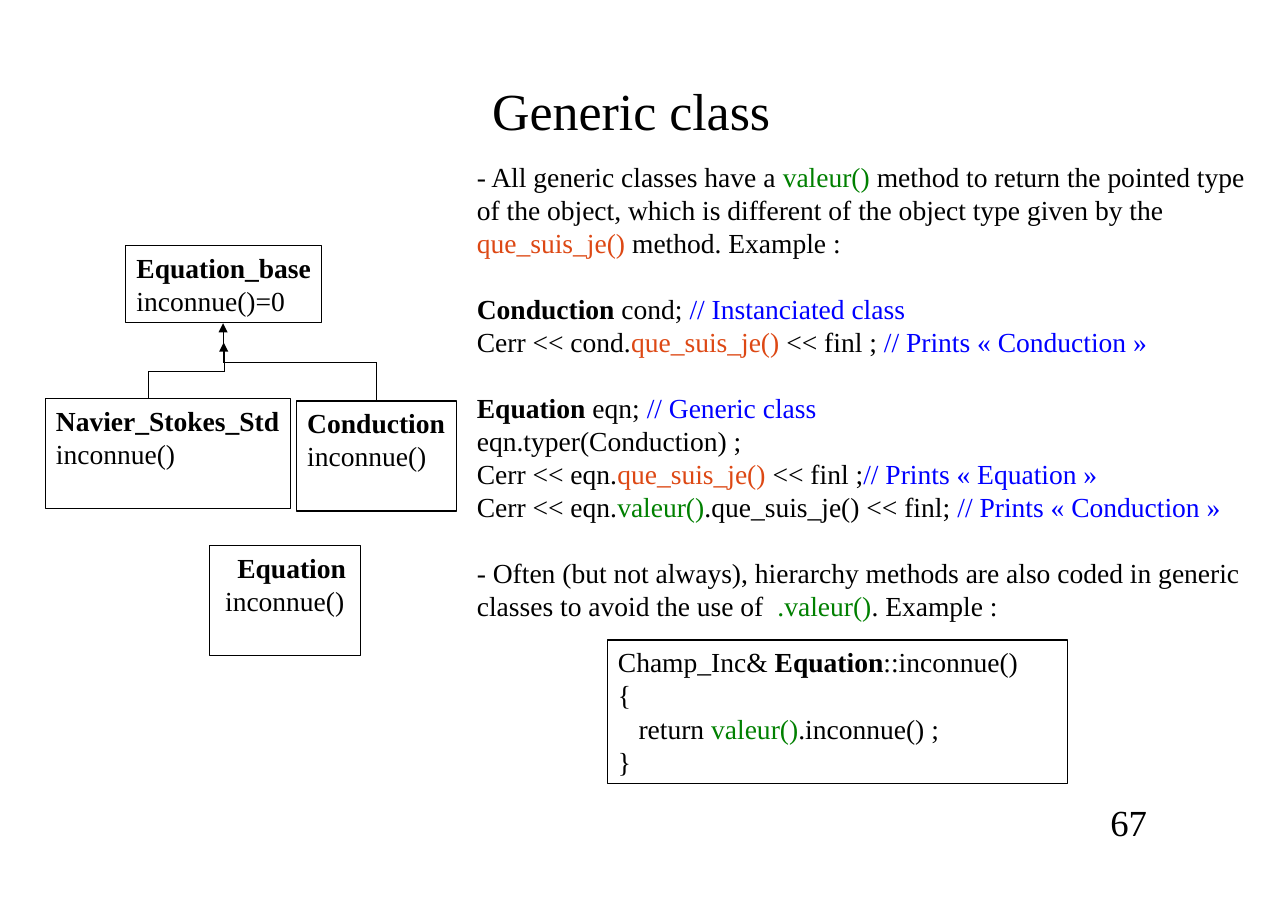
"""Build the slide about generic classes and their valeur() method."""
from lxml import etree
from pptx import Presentation
from pptx.dml.color import RGBColor
from pptx.enum.shapes import MSO_CONNECTOR, MSO_SHAPE
from pptx.enum.text import MSO_ANCHOR, PP_ALIGN
from pptx.oxml.ns import qn
from pptx.util import Inches, Pt

FONT = "Times New Roman"
BLACK, GREEN, ORANGE, BLUE = "000000", "008000", "DD4814", "0000FF"
LEFT, CENTER, RIGHT = PP_ALIGN.LEFT, PP_ALIGN.CENTER, PP_ALIGN.RIGHT
TOP, MIDDLE = MSO_ANCHOR.TOP, MSO_ANCHOR.MIDDLE
RECTANGLE, ELBOW = MSO_SHAPE.RECTANGLE, MSO_CONNECTOR.ELBOW
LINE_PITCH = Pt(21.6)


def color(value):
    return RGBColor.from_string(value)


def write(shape, paragraphs, size=18, align=LEFT, anchor=TOP, wrap=True,
          pitch=LINE_PITCH, gaps=()):
    """Fill a shape with paragraphs of (text, colour, bold) runs."""
    frame = shape.text_frame
    frame.word_wrap = wrap
    frame.vertical_anchor = anchor
    for index, runs in enumerate(paragraphs):
        paragraph = frame.paragraphs[0] if index == 0 else frame.add_paragraph()
        paragraph.alignment = align
        if pitch:
            paragraph.line_spacing = pitch
        if index in gaps:
            paragraph.space_before = LINE_PITCH
        for text, text_color, bold in runs:
            run = paragraph.add_run()
            run.text = text
            run.font.name = FONT
            run.font.size = Pt(size)
            run.font.bold = bold
            run.font.color.rgb = color(text_color)
    return frame


presentation = Presentation()
presentation.slide_width = Inches(11.69)
presentation.slide_height = Inches(8.27)
slide = presentation.slides.add_slide(presentation.slide_layouts[6])

title = slide.shapes.add_textbox(Inches(1.23), Inches(0.3), Inches(9), Inches(1.4))
write(title, [[("Generic class", BLACK, False)]], size=34, align=CENTER,
      anchor=MIDDLE, pitch=None)

explanation = [
    [("- All generic classes have a ", BLACK, False),
     ("valeur()", GREEN, False),
     (" method to return the pointed type of the object, which is different "
      "of the object type given by the", BLACK, False),
     (" que_suis_je()", ORANGE, False),
     (" method. Example :", BLACK, False)],
    [("Conduction", BLACK, True),
     (" cond; ", BLACK, False),
     ("// Instanciated class", BLUE, False)],
    [("Cerr << cond.", BLACK, False),
     ("que_suis_je()", ORANGE, False),
     (" << finl ; ", BLACK, False),
     ("// Prints « Conduction »", BLUE, False)],
    [("Equation", BLACK, True),
     (" eqn; ", BLACK, False),
     ("// Generic class", BLUE, False)],
    [("eqn.typer(Conduction) ;", BLACK, False)],
    [("Cerr << eqn.", BLACK, False),
     ("que_suis_je()", ORANGE, False),
     (" << finl ;", BLACK, False),
     ("// Prints « Equation »", BLUE, False)],
    [("Cerr << eqn.", BLACK, False),
     ("valeur()", GREEN, False),
     (".que_suis_je() << finl; ", BLACK, False),
     ("// Prints « Conduction »", BLUE, False)],
    [("- Often (but not always), hierarchy methods are also coded in generic "
      "classes to avoid the use of ", BLACK, False),
     (" .valeur()", GREEN, False),
     (". Example :", BLACK, False)],
]
body = slide.shapes.add_textbox(Inches(4.23), Inches(1.4), Inches(7.23), Inches(5.71))
write(body, explanation, gaps=(1, 3, 7))

code = [
    [("Champ_Inc& ", BLACK, False), ("Equation", BLACK, True),
     ("::inconnue()", BLACK, False)],
    [("{", BLACK, False)],
    [("   return ", BLACK, False), ("valeur()", GREEN, False),
     (".inconnue() ;", BLACK, False)],
    [("}", BLACK, False)],
]


def class_text(name, method="inconnue()"):
    return [[(name, BLACK, True)], [(method, BLACK, False)]]


boxes = [
    (1.14, 2.23, 1.78, 0.7, class_text("Equation_base", "inconnue()=0"), LEFT, False),
    (2.69, 3.64, 1.45, 1, class_text("Conduction"), LEFT, False),
    (0.41, 3.62, 2.23, 1, class_text("Navier_Stokes_Std"), LEFT, False),
    (1.9, 4.95, 1.37, 1, class_text("Equation"), CENTER, True),
    (5.51, 5.81, 4.18, 1.3, code, LEFT, True),
]
for left, top, width, height, paragraphs, align, wrap in boxes:
    box = slide.shapes.add_shape(RECTANGLE, Inches(left), Inches(top),
                                 Inches(width), Inches(height))
    box.shadow.inherit = False
    box.fill.background()
    box.line.color.rgb = color(BLACK)
    box.line.width = Pt(0)
    frame = write(box, paragraphs, align=align, wrap=wrap)
    if align == CENTER:
        name_properties = frame.paragraphs[0]._p.get_or_add_pPr()
        name_properties.set("marL", str(Pt(9)))

inheritance_links = [
    (2.37, 3.98, 3.07, 2.59, 270),
    (1.94, 3.71, 1.43, 3.02, 90),
]
for begin_x, begin_y, end_x, end_y, rotation in inheritance_links:
    link = slide.shapes.add_connector(ELBOW, Inches(begin_x), Inches(begin_y),
                                      Inches(end_x), Inches(end_y))
    link.line.color.rgb = color(BLACK)
    link.line.width = Pt(0)
    link._element.remove(link._element.find(qn("p:style")))
    properties = link._element.spPr
    properties.find(qn("a:xfrm")).set("rot", str(rotation * 60000))
    arrowhead = etree.SubElement(properties.find(qn("a:ln")), qn("a:tailEnd"))
    arrowhead.set("type", "triangle")
    etree.SubElement(properties, qn("a:effectLst"))

page_number = slide.shapes.add_textbox(Inches(9.68), Inches(7.21),
                                       Inches(0.83), Inches(0.5))
write(page_number, [[("67", BLACK, False)]], size=24, align=RIGHT,
      anchor=MIDDLE, pitch=None)

presentation.save("out.pptx")
